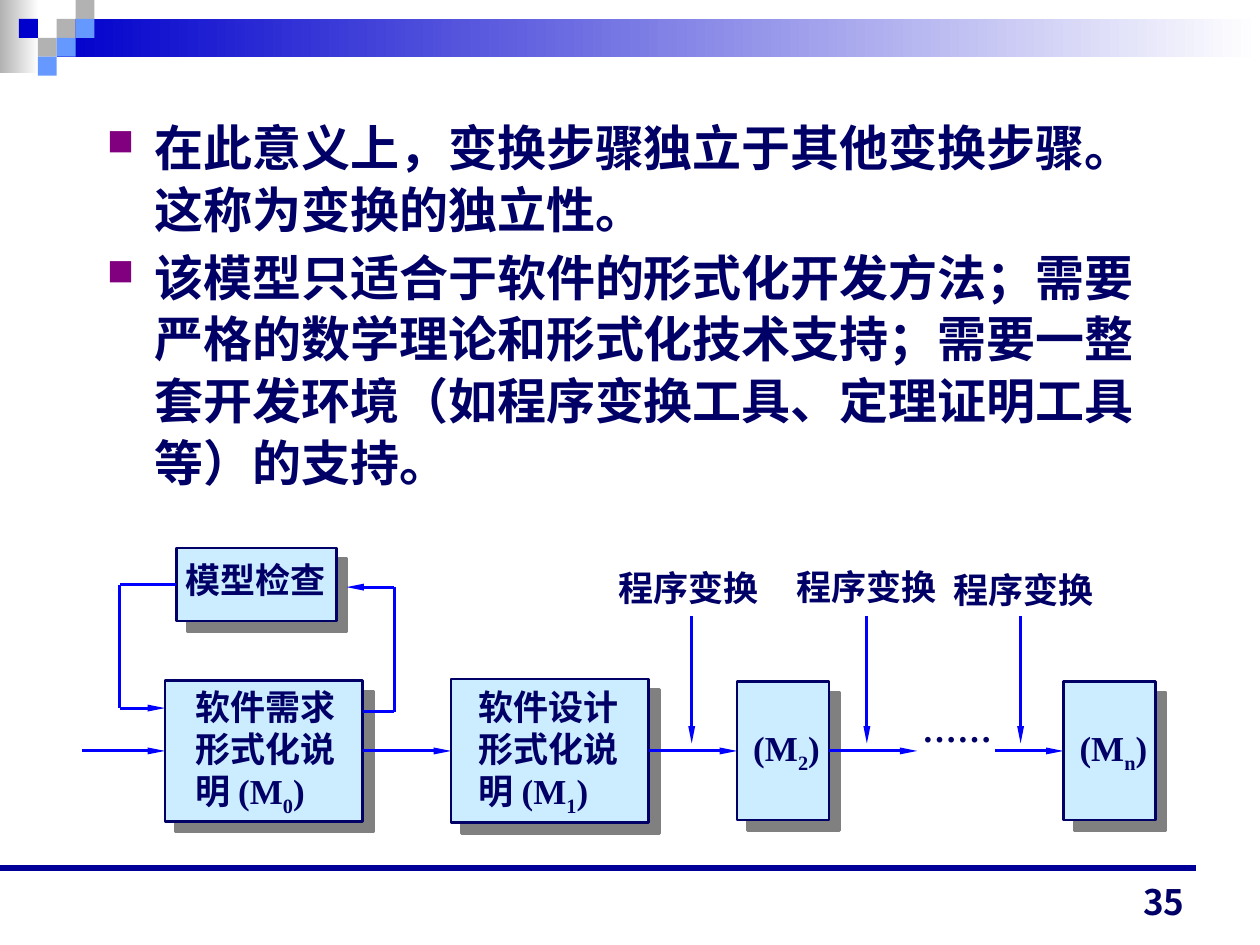
import dataclasses

import lxml.etree
import pptx
import pptx.dml.color
import pptx.enum.shapes
import pptx.enum.text
import pptx.oxml
import pptx.oxml.ns
import pptx.util

Inches = pptx.util.Inches
Pt = pptx.util.Pt
qn = pptx.oxml.ns.qn
ALIGN = pptx.enum.text.PP_ALIGN
TOP, LEFT, BOTTOM, RIGHT = range(4)


@dataclasses.dataclass(frozen=True)
class Theme:
    ink: str = "000066"
    box: str = "CCECFF"
    arrow: str = "0000FF"
    shadow: str = "808080"
    bullet: str = "800080"
    rule: str = "000099"
    gray: str = "B2B2B2"
    blue: str = "0000CC"
    sky: str = "6699FF"
    white: str = "FFFFFF"
    latin: str = "Times New Roman"
    chinese: str = "Noto Sans CJK SC"
    number: str = "Noto Sans CJK JP"
    body_size: int = 28
    label_size: int = 20
    arrow_width: float = 1.75
    box_width: float = 1.5
    rule_width: float = 3


THEME = Theme()


def rgb(color):
    return pptx.dml.color.RGBColor.from_string(color)


def add_rectangle(page, left, top, width, height):
    box = page.shapes.add_shape(
        pptx.enum.shapes.MSO_SHAPE.RECTANGLE,
        Inches(left), Inches(top), Inches(width), Inches(height))
    box.shadow.inherit = False
    box.line.fill.background()
    return box


def add_block(page, left, top, width, height, color):
    block = add_rectangle(page, left, top, width, height)
    block.fill.solid()
    block.fill.fore_color.rgb = rgb(color)
    return block


def add_fade(page, left, top, width, height, color):
    band = add_rectangle(page, left, top, width, height)
    band.fill.gradient()
    band.fill.gradient_angle = 180
    for stop, tint in zip(band.fill.gradient_stops, (THEME.white, color)):
        stop.color.rgb = rgb(tint)


def add_stage(page, left, top, width, height):
    stage = add_block(page, left, top, width, height, THEME.box)
    stage.line.color.rgb = rgb(THEME.ink)
    stage.line.width = Pt(THEME.box_width)
    effects = stage._element.spPr.find(qn("a:effectLst"))
    shadow = lxml.etree.SubElement(
        effects, qn("a:outerShdw"), dist=str(Pt(8.5)), dir="2700000",
        algn="ctr", rotWithShape="0")
    lxml.etree.SubElement(shadow, qn("a:srgbClr"), val=THEME.shadow)
    return stage


def add_line(page, start, end, color=THEME.arrow, width=THEME.arrow_width,
             arrow=False, source=None, target=None):
    line = page.shapes.add_connector(
        pptx.enum.shapes.MSO_CONNECTOR.STRAIGHT,
        *(Inches(length) for length in (*start, *end)))
    line.line.color.rgb = rgb(color)
    line.line.width = Pt(width)
    if arrow:
        lxml.etree.SubElement(line.line._get_or_add_ln(), qn("a:tailEnd"),
                              type="triangle", w="sm", len="lg")
    lxml.etree.SubElement(line._element.spPr, qn("a:effectLst"))
    if source:
        line.begin_connect(*source)
    if target:
        line.end_connect(*target)


def add_span(para, text, size, latin, chinese, subscript=False):
    span = para.add_run()
    span.text = text
    span.font.size = Pt(size)
    span.font.bold = True
    span.font.color.rgb = rgb(THEME.ink)
    span.font.name = latin
    properties = span._r.get_or_add_rPr()
    lxml.etree.SubElement(properties, qn("a:ea"), typeface=chinese)
    if subscript:
        properties.set("baseline", "-25000")


def add_text(page, left, top, width, height, paragraphs, size=THEME.label_size,
             latin=THEME.latin, chinese=THEME.chinese, align=ALIGN.JUSTIFY):
    box = page.shapes.add_textbox(
        Inches(left), Inches(top), Inches(width), Inches(height))
    frame = box.text_frame
    frame.word_wrap = True
    for index, spans in enumerate(paragraphs):
        para = frame.add_paragraph() if index else frame.paragraphs[0]
        para.alignment = align
        for position, text in enumerate(spans):
            add_span(para, text, size, latin, chinese, subscript=position == 1)
    return frame


def add_bullets(page, left, top, width, height, items):
    frame = add_text(page, left, top, width, height, [[item] for item in items],
                     size=THEME.body_size, align=ALIGN.LEFT)
    for para in frame.paragraphs:
        para.line_spacing = 1.05
        para.space_before = Pt(3.5)
        properties = para._p.get_or_add_pPr()
        properties.set("marL", str(Inches(0.38)))
        properties.set("indent", str(Inches(-0.38)))
        color = lxml.etree.SubElement(properties, qn("a:buClr"))
        lxml.etree.SubElement(color, qn("a:srgbClr"), val=THEME.bullet)
        lxml.etree.SubElement(properties, qn("a:buSzPct"), val="75000")
        lxml.etree.SubElement(properties, qn("a:buChar"), char="■")


def add_header(page):
    add_fade(page, 0, 0, 0.31, 0.58, THEME.gray)
    add_fade(page, 0.45, 0.15, 9.55, 0.3, THEME.blue)
    side = 0.15
    tiles = [(3, 1, THEME.gray), (4, 0, THEME.gray), (4, 1, THEME.sky),
             (2, 2, THEME.gray), (1, 1, THEME.blue), (3, 2, THEME.sky),
             (2, 3, THEME.sky)]
    for column, row, color in tiles:
        add_block(page, column * side, row * side, side, side, color)


def add_diagram(page):
    axis = 5.96
    check = add_stage(page, 1.4, 4.35, 1.27, 0.58)
    needs = add_stage(page, 1.31, 5.4, 1.57, 1.12)
    design = add_stage(page, 3.58, 5.39, 1.57, 1.14)
    second = add_stage(page, 5.85, 5.41, 0.73, 1.1)
    last = add_stage(page, 8.44, 5.41, 0.73, 1.1)

    flow = [(0.65, 1.31, None, needs), (2.88, 3.58, needs, design),
            (5.15, 5.85, design, second), (6.58, 7.28, second, None),
            (7.9, 8.44, None, last)]
    for start, end, source, target in flow:
        add_line(page, (start, axis), (end, axis), arrow=True,
                 source=source and (source, RIGHT),
                 target=target and (target, LEFT))

    add_line(page, (1.4, 4.64), (0.95, 4.64), source=(check, LEFT))
    add_line(page, (0.95, 4.64), (0.95, 5.62))
    add_line(page, (0.95, 5.62), (1.31, 5.62), arrow=True)
    add_line(page, (2.88, 5.65), (3.13, 5.65))
    add_line(page, (3.13, 5.65), (3.13, 4.66))
    add_line(page, (3.13, 4.66), (2.75, 4.66), arrow=True)

    add_text(page, 1.37, 4.38, 1.38, 0.55, [["模型检查"]])
    for left, subject, mark in ((1.45, "软件需求", "0"), (3.7, "软件设计", "1")):
        add_text(page, left, 5.39, 1.42, 1.15,
                 [[subject], ["形式化说"], ["明 (M", mark, ")"]])
    for left, mark in ((5.88, "2"), (8.47, "n")):
        add_text(page, left, 5.72, 0.77, 0.58, [["(M", mark, ")"]])
    add_text(page, 7.22, 5.65, 0.81, 0.61, [["……"]], latin=THEME.chinese)

    for left, top, arrow in ((4.81, 4.45, 5.49), (6.22, 4.44, 6.88),
                             (7.47, 4.46, 8.1)):
        add_text(page, left, top, 1.45, 0.55, [["程序变换"]])
        add_line(page, (arrow, 4.89), (arrow, 5.9), arrow=True)


def main():
    deck = pptx.Presentation()
    deck.slide_width, deck.slide_height = Inches(10), Inches(7.5)
    page = deck.slides.add_slide(deck.slide_layouts[6])
    add_header(page)
    add_line(page, (0, 6.89), (9.49, 6.89), THEME.rule, THEME.rule_width)
    add_diagram(page)
    add_bullets(page, 0.75, 0.86, 8.5, 3.16, [
        "在此意义上，变换步骤独立于其他变换步骤。这称为变换的独立性。",
        "该模型只适合于软件的形式化开发方法；需要严格的数学理论和形式化技术支持；"
        "需要一整套开发环境（如程序变换工具、定理证明工具等）的支持。"])
    number = add_text(page, 7.17, 6.92, 2.33, 0.45, [["35"]], latin=THEME.number,
                      chinese=THEME.number, align=ALIGN.RIGHT)
    number.vertical_anchor = pptx.enum.text.MSO_ANCHOR.BOTTOM
    deck.save("out.pptx")


if __name__ == "__main__":
    main()
